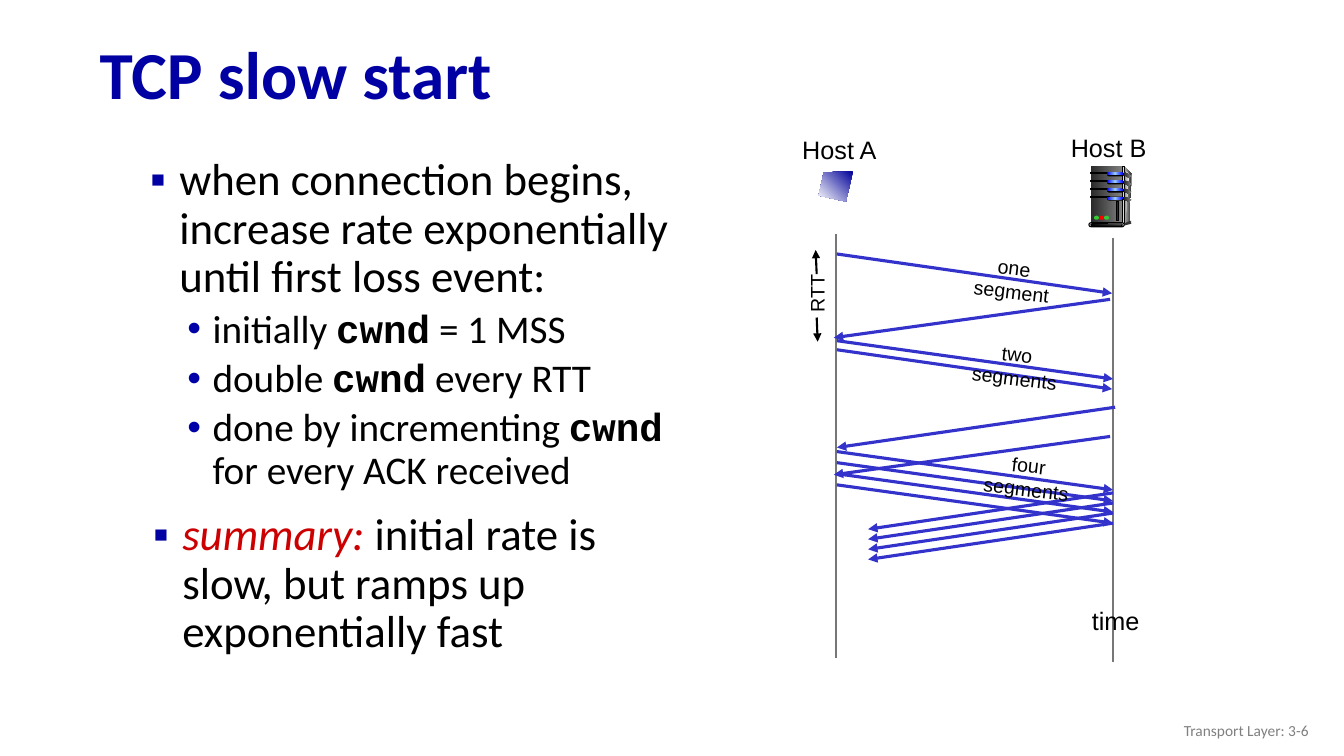
from lxml import etree
from pptx import Presentation
from pptx.dml.color import RGBColor
from pptx.enum.shapes import MSO_CONNECTOR, MSO_SHAPE
from pptx.enum.text import MSO_ANCHOR, PP_ALIGN
from pptx.oxml.ns import qn
from pptx.util import Pt

PX = 9144
STRAIGHT = MSO_CONNECTOR.STRAIGHT
RECTANGLE, PILL, OVAL = MSO_SHAPE.RECTANGLE, MSO_SHAPE.ROUNDED_RECTANGLE, MSO_SHAPE.OVAL
TOP, MIDDLE = MSO_ANCHOR.TOP, MSO_ANCHOR.MIDDLE
LEFT, CENTER, RIGHT = PP_ALIGN.LEFT, PP_ALIGN.CENTER, PP_ALIGN.RIGHT


class Theme:
    sans, label, code = "Calibri", "Arial", "Courier New"
    title_size, body_size, detail_size = 48, 32, 28
    host_size, segment_size, footer_size = 18, 14, 11
    navy, bullet_blue, red, black, grey = "0000A3", "0000A8", "CC0000", "000000", "808080"
    message, timeline = "3333CC", "777777"
    dark, metal, silver = "292929", "333333", "DDDDDD"
    screen = ("000099", "FFFFFF")
    face = ("292929", "808080")
    side = ("DDDDDD", "333333")
    edge = ("333333", "DDDDDD", "333333")
    sheen = ("808080", "F8F8F8")
    glow = ("0000FF", "99CCFF", "0000FF")
    base = ("000000", "808080")
    green_light, red_light = "33CC33", "FF0000"


def rgb(color):
    return RGBColor.from_string(color)


def style_font(font, name, size, color, bold=False):
    font.name, font.size, font.bold = name, Pt(size), bold
    font.color.rgb = rgb(color)


def add_text_frame(slide, box, anchor=TOP, wrap=True, rotation=0):
    shape = slide.shapes.add_textbox(*(value * PX for value in box))
    shape.rotation = rotation
    frame = shape.text_frame
    frame.word_wrap = wrap
    frame.vertical_anchor = anchor
    return frame


def add_label(slide, box, text, size, wrap=False, rotation=0, name=Theme.label,
              color=Theme.black, bold=False, align=CENTER, anchor=TOP):
    paragraph = add_text_frame(slide, box, anchor, wrap, rotation).paragraphs[0]
    paragraph.text = text
    paragraph.alignment = align
    style_font(paragraph.font, name, size, color, bold)
    return paragraph


def add_bullet(paragraph, character, color, margin, hanging):
    properties = paragraph._p.get_or_add_pPr()
    properties.set("marL", str(margin * PX))
    properties.set("indent", str(-hanging * PX))
    bullet_color = etree.SubElement(properties, qn("a:buClr"))
    etree.SubElement(bullet_color, qn("a:srgbClr"), val=color)
    etree.SubElement(properties, qn("a:buFont"), typeface=Theme.label)
    etree.SubElement(properties, qn("a:buChar"), char=character)
    paragraph.line_spacing = 0.9


def add_point(paragraph, text, emphasis=""):
    add_bullet(paragraph, "▪", Theme.navy, 43, 29)
    style_font(paragraph.font, Theme.sans, Theme.body_size, Theme.black)
    if emphasis:
        run = paragraph.add_run()
        run.text = emphasis
        run.font.italic = True
        run.font.color.rgb = rgb(Theme.red)
    paragraph.add_run().text = text


def add_detail(paragraph, before, after):
    paragraph.level = 1
    add_bullet(paragraph, "•", Theme.bullet_blue, 76, 25)
    paragraph.space_before = Pt(5)
    style_font(paragraph.font, Theme.sans, Theme.detail_size, Theme.black)
    for text in (before, "cwnd", after):
        run = paragraph.add_run()
        run.text = text
        if text == "cwnd":
            run.font.name = Theme.code
            run.font.bold = True


def add_line(slide, points, color, width, arrow=True):
    line = slide.shapes.add_connector(STRAIGHT, *(value * PX for value in points))
    line.line.color.rgb = rgb(color)
    line.line.width = Pt(width)
    properties = line._element.spPr
    if arrow:
        etree.SubElement(properties.find(qn("a:ln")), qn("a:tailEnd"), type="triangle")
    etree.SubElement(properties, qn("a:effectLst"))


def paint(shape, fill, outlined=False, angle=0):
    shape.shadow.inherit = False
    if isinstance(fill, str):
        shape.fill.solid()
        shape.fill.fore_color.rgb = rgb(fill)
    else:
        shape.fill.gradient()
        shape.fill.gradient_angle = -angle % 360
        stops = shape._element.spPr.find(qn("a:gradFill")).find(qn("a:gsLst"))
        stops.clear()
        for index, color in enumerate(fill):
            position = str(100000 * index // (len(fill) - 1))
            stop = etree.SubElement(stops, qn("a:gs"), pos=position)
            etree.SubElement(stop, qn("a:srgbClr"), val=color)
    if outlined:
        shape.line.color.rgb = rgb(Theme.black)
        shape.line.width = Pt(0.75)
    else:
        shape.line.fill.background()


def add_part(slide, kind, box, fill, outlined=False):
    shape = slide.shapes.add_shape(kind, *(value * PX for value in box))
    if kind == PILL:
        shape.adjustments[0] = 0.5
    paint(shape, fill, outlined)


def add_outline(slide, points, fill, angle=0):
    builder = slide.shapes.build_freeform(*points[0], scale=PX)
    builder.add_line_segments(points[1:], close=True)
    paint(builder.convert_to_shape(), fill, angle=angle)


def add_server(slide):
    add_outline(slide, [(1115, 165), (1122, 172), (1121, 220), (1113, 222)], Theme.side)
    add_part(slide, RECTANGLE, (1082, 165, 31, 57), Theme.face)
    add_outline(slide, [(1115, 168), (1120, 173), (1116, 220), (1115, 220)], Theme.sheen)
    add_part(slide, RECTANGLE, (1113, 165, 2, 57), Theme.edge, True)
    for slot in range(4):
        top = 171 + 8 * slot
        add_part(slide, RECTANGLE, (1082, top, 18, 1), Theme.black, True)
        add_part(slide, PILL, (1098, top, 17, 4), Theme.black)
        add_part(slide, PILL, (1098, top, 16, 3), Theme.glow)
        vent = [(1115, top), (1122, top + 3), (1121, top + 6), (1115, top + 3)]
        add_outline(slide, vent, Theme.face)
    add_part(slide, OVAL, (1121, 219, 1, 2), Theme.metal)
    add_outline(slide, [(1114, 222), (1114, 224), (1122, 222), (1121, 219)], Theme.metal)
    add_part(slide, PILL, (1080, 221, 35, 4), Theme.silver, True)
    add_part(slide, PILL, (1082, 222, 31, 2), Theme.base, True)
    for index, color in enumerate((Theme.green_light, Theme.red_light, Theme.green_light)):
        add_part(slide, OVAL, (1085 + 5 * index, 214, 5, 4), color)
    add_part(slide, RECTANGLE, (1107, 200, 2, 19), Theme.dark, True)


def add_body(slide):
    frame = add_text_frame(slide, (125, 151, 560, 570))
    add_point(frame.paragraphs[0],
              "when connection begins, increase rate exponentially until first loss event:")
    for before, after in (("initially ", " = 1 MSS"), ("double ", " every RTT"),
                          ("done by incrementing ", " for every ACK received")):
        add_detail(frame.add_paragraph(), before, after)
    summary = add_text_frame(slide, (128, 503, 560, 208))
    add_point(summary.paragraphs[0],
              "initial rate is slow, but ramps up exponentially fast", "summary: ")


def add_exchange(slide):
    for x, top in ((829, 232), (1104, 236)):
        add_line(slide, (x, top, x, top + 421), Theme.timeline, 1.5, arrow=False)
    messages = [(830, 252, 1103, 291), (1101, 297, 827, 335),
                (830, 338, 1104, 376), (830, 347, 1103, 386),
                (1106, 404, 830, 444), (1101, 433, 827, 471)]
    for index in range(4):
        sent, returned = 448 + 11 * index, 489 + 10 * index
        messages.append((830, sent, 1104, sent + 38))
        messages.append((1104, returned, 861, returned + 36))
    for points in messages:
        add_line(slide, points, Theme.message, 2.25)
    for points in ((810, 272, 809, 248), (810, 315, 811, 339)):
        add_line(slide, points, Theme.black, 1.5)
    for box, text in (((785, 128, 95, 40), "Host A"), ((1052, 126, 95, 40), "Host B"),
                      ((1073, 596, 67, 40), "time")):
        add_label(slide, box, text, Theme.host_size)
    for box, text in (((942, 249, 128, 33), "one segment"),
                      ((942, 335, 134, 33), "two segments"),
                      ((952, 445, 137, 33), "four segments")):
        add_label(slide, box, text, Theme.segment_size, wrap=True, rotation=6.8)
    add_label(slide, (781, 275, 58, 33), "RTT", Theme.segment_size, rotation=270)
    add_outline(slide, [(846, 170), (817, 171), (812, 194), (839, 200)], Theme.screen, 135)
    add_server(slide)


def main():
    presentation = Presentation()
    presentation.slide_width, presentation.slide_height = 1333 * PX, 750 * PX
    slide = presentation.slides.add_slide(presentation.slide_layouts[6])
    title = add_label(slide, (89, 28, 1246, 98), "TCP slow start", Theme.title_size, True,
                      name=Theme.sans, color=Theme.navy, bold=True, align=LEFT, anchor=MIDDLE)
    title.line_spacing = 0.9
    add_body(slide)
    add_exchange(slide)
    add_label(slide, (1008, 705, 300, 40), "Transport Layer: 3-6", Theme.footer_size, True,
              name=Theme.sans, color=Theme.grey, align=RIGHT, anchor=MIDDLE)
    presentation.save("out.pptx")


if __name__ == "__main__":
    main()
